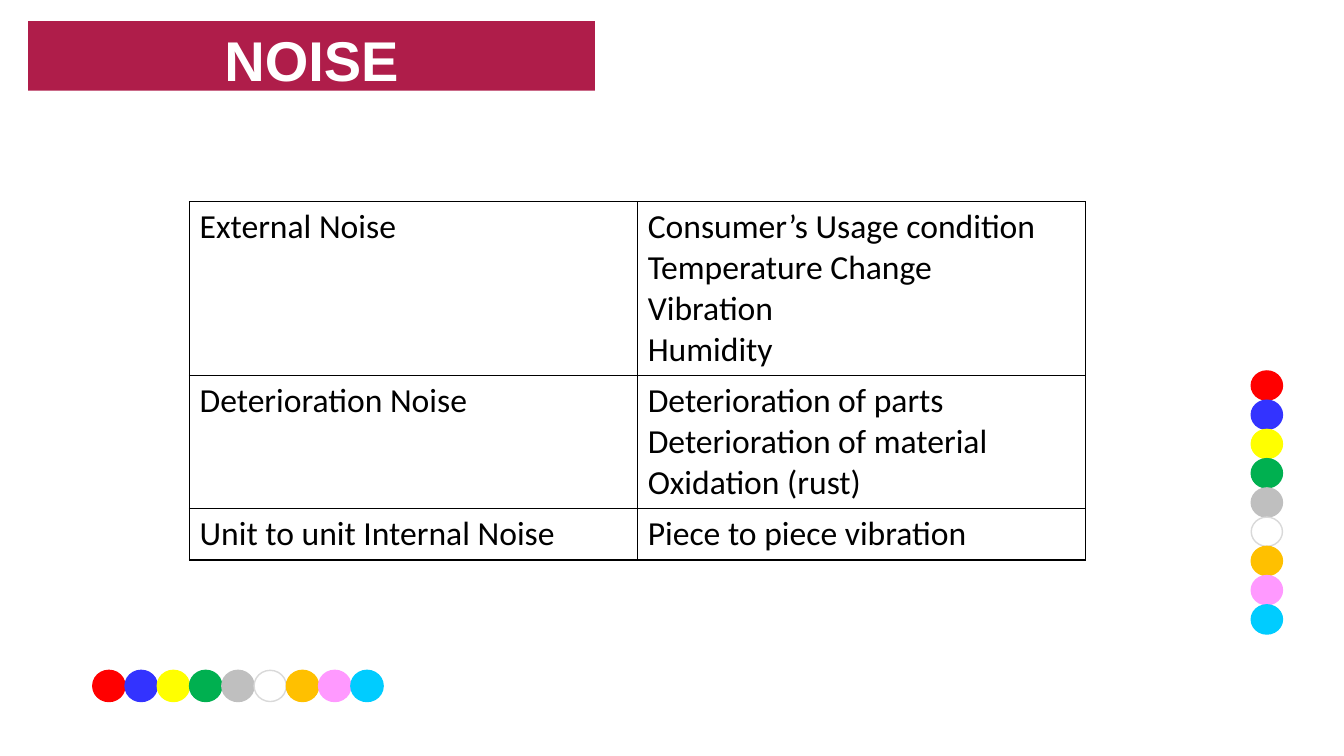
import pptx
import pptx.util
import pptx.oxml
import pptx.oxml.ns
import pptx.dml.color
import pptx.enum.shapes
import pptx.enum.text
from lxml import etree

Inches = pptx.util.Inches
Pt = pptx.util.Pt

COLORS = {
    "banner": "AF1D4A", "white": "FFFFFF", "black": "000000",
    "red": "FF0000", "blue": "3333FF", "yellow": "FFFF00",
    "green": "00B050", "gray": "BFBFBF", "light gray": "D9D9D9",
    "orange": "FFC000", "pink": "FF99FF", "cyan": "00CCFF",
}
DOTS = ["red", "blue", "yellow", "green", "gray", "white", "orange", "pink", "cyan"]
NOISES = [
    ("External Noise",
     ["Consumer’s Usage condition", "Temperature Change", "Vibration", "Humidity"], 1.7),
    ("Deterioration Noise",
     ["Deterioration of parts", "Deterioration of material", "Oxidation (rust)"], 1.3),
    ("Unit to unit Internal Noise", ["Piece to piece vibration"], 0.5),
]


def color(name):
    return pptx.dml.color.RGBColor.from_string(COLORS[name])


def format_runs(text_frame, font_name, size, color_name, bold=False):
    for paragraph in text_frame.paragraphs:
        for run in paragraph.runs:
            run.font.name = font_name
            run.font.size = Pt(size)
            run.font.bold = bold
            run.font.color.rgb = color(color_name)


def add_dots(slide, left, top, width, height, step_x, step_y):
    for index, name in enumerate(DOTS):
        dot = slide.shapes.add_shape(
            pptx.enum.shapes.MSO_SHAPE.FLOWCHART_CONNECTOR,
            Inches(left + index * step_x), Inches(top + index * step_y),
            Inches(width), Inches(height))
        dot.shadow.inherit = False
        dot.fill.solid()
        dot.fill.fore_color.rgb = color(name)
        dot.line.color.rgb = color("light gray" if name == "white" else name)
        dot.line.width = Pt(1)


def add_banner(slide, left, top, width, height):
    title = slide.shapes.title
    title.left, title.top = Inches(left), Inches(top)
    title.width, title.height = Inches(width), Inches(height)
    title.fill.solid()
    title.fill.fore_color.rgb = color("banner")
    text_frame = title.text_frame
    text_frame.text = "NOISE"
    text_frame.auto_size = pptx.enum.text.MSO_AUTO_SIZE.NONE
    text_frame.vertical_anchor = pptx.enum.text.MSO_ANCHOR.MIDDLE
    text_frame.margin_left = text_frame.margin_right = 0
    text_frame.margin_top = Inches(0.06)
    text_frame.margin_bottom = 0
    text_frame.paragraphs[0].alignment = pptx.enum.text.PP_ALIGN.CENTER
    format_runs(text_frame, "Arial", 40, "white", bold=True)


def add_borders(cell):
    properties = cell._tc.get_or_add_tcPr()
    for index, side in enumerate(("lnL", "lnR", "lnT", "lnB")):
        border = etree.Element(pptx.oxml.ns.qn(f"a:{side}"), w=str(Pt(1)))
        fill = etree.SubElement(border, pptx.oxml.ns.qn("a:solidFill"))
        etree.SubElement(fill, pptx.oxml.ns.qn("a:srgbClr"), val=COLORS["black"])
        properties.insert(index, border)


def add_noise_table(slide, left, top, width, height):
    table = slide.shapes.add_table(
        len(NOISES), 2, Inches(left), Inches(top), Inches(width), Inches(height)).table
    table.first_row = False
    table.horz_banding = False
    for row, (noise, causes, row_height) in zip(table.rows, NOISES):
        row.height = Inches(row_height)
        for cell, text in zip(row.cells, (noise, "\n".join(causes))):
            cell.text_frame.text = text
            format_runs(cell.text_frame, "Calibri", 24, "black")
            cell.fill.background()
            add_borders(cell)


def build_noise_slide(presentation):
    slide = presentation.slides.add_slide(presentation.slide_layouts[5])
    add_dots(slide, 12.41, 3.68, 0.31, 0.29, 0, 0.29)
    add_dots(slide, 0.92, 6.65, 0.32, 0.31, 0.32, 0)
    add_banner(slide, 0.28, 0.21, 5.62, 0.69)
    add_noise_table(slide, 1.88, 2, 8.89, 3.5)


def main():
    presentation = pptx.Presentation()
    presentation.slide_width = Inches(13.33)
    presentation.slide_height = Inches(7.5)
    build_noise_slide(presentation)
    presentation.save("out.pptx")


if __name__ == "__main__":
    main()
